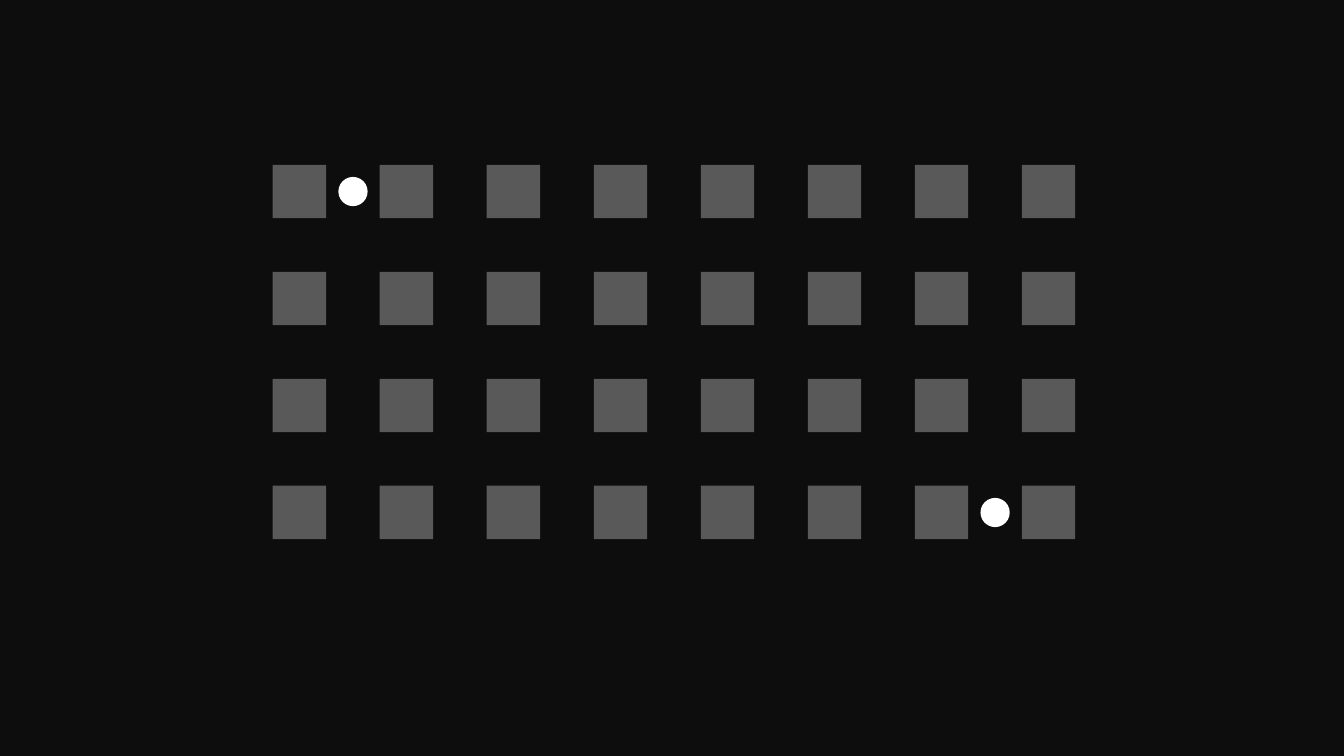
from dataclasses import dataclass
from itertools import product

from pptx import Presentation
from pptx.dml.color import RGBColor
from pptx.enum.shapes import MSO_SHAPE as Preset
from pptx.util import Inches


@dataclass(frozen=True)
class Theme:
    """Colours of the slide."""
    background: RGBColor = RGBColor.from_string("0D0D0D")
    tile: RGBColor = RGBColor.from_string("595959")
    dot: RGBColor = RGBColor.from_string("FFFFFF")


THEME = Theme()
ROWS, COLUMNS = 4, 8
FIRST_X, FIRST_Y = 2.97, 1.9
PITCH = 7.43 / (COLUMNS - 1)
TILE_SIZE, DOT_SIZE = 0.53, 0.29
DOT_CELLS = [(0, 0.5), (3, 6.5)]


def paint(fill, colour):
    """Give a fill one solid colour."""
    fill.solid()
    fill.fore_color.rgb = colour


def add_mark(page, preset, cell, size, colour):
    """Centre a plain shape on a row and column of the grid."""
    row, column = cell
    left = FIRST_X + column * PITCH - size / 2
    top = FIRST_Y + row * PITCH - size / 2
    mark = page.shapes.add_shape(
        preset, Inches(left), Inches(top), Inches(size), Inches(size))
    mark.shadow.inherit = False
    mark.line.fill.background()
    paint(mark.fill, colour)


def main():
    """Build the grid of tiles with two dots between them."""
    deck = Presentation()
    deck.slide_width, deck.slide_height = Inches(13.33), Inches(7.5)
    page = deck.slides.add_slide(deck.slide_layouts[6])
    paint(page.background.fill, THEME.background)
    for cell in product(range(ROWS), range(COLUMNS)):
        add_mark(page, Preset.RECTANGLE, cell, TILE_SIZE, THEME.tile)
    for cell in DOT_CELLS:
        add_mark(page, Preset.OVAL, cell, DOT_SIZE, THEME.dot)
    deck.save("out.pptx")


if __name__ == "__main__":
    main()
